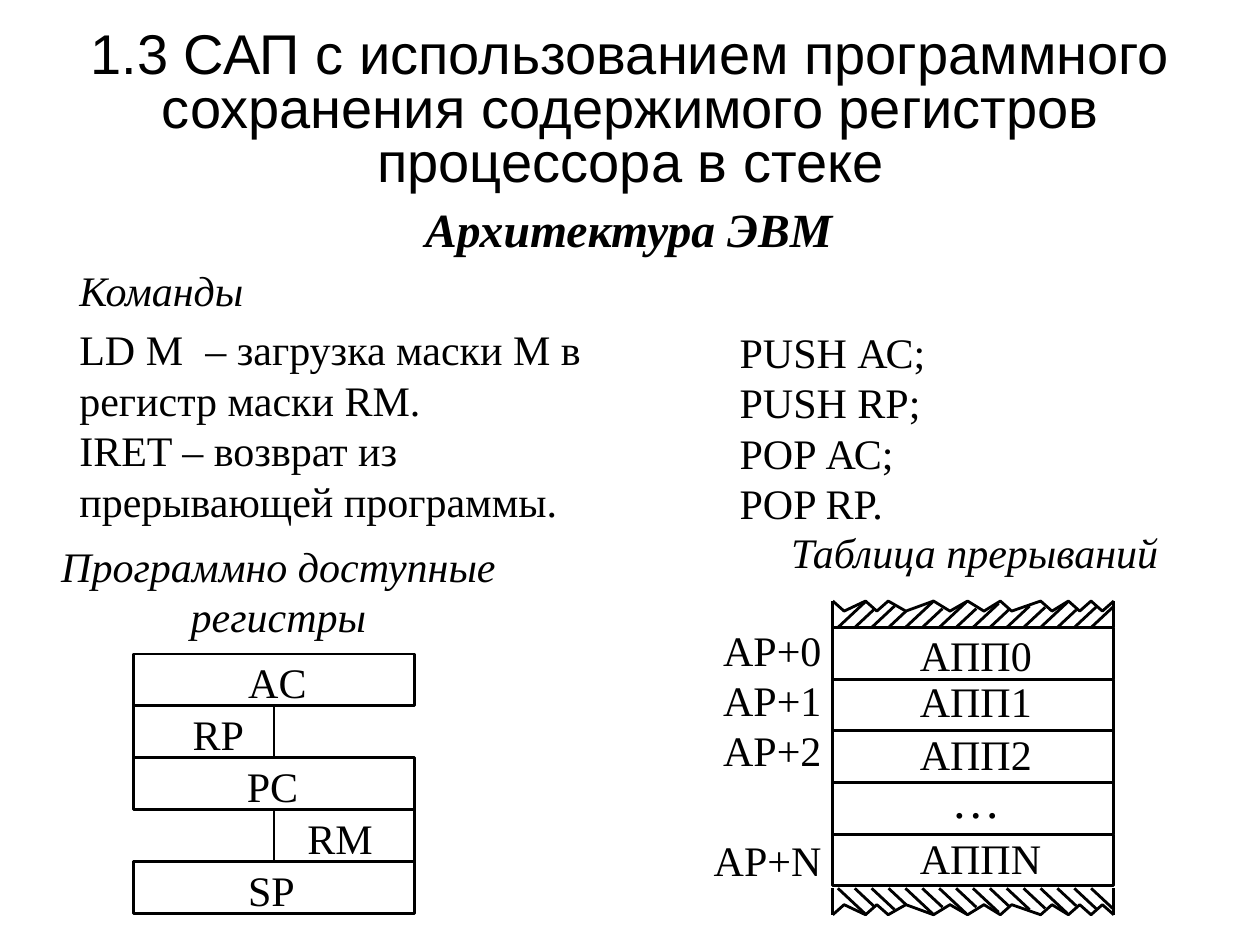
from dataclasses import dataclass

from lxml import etree
from pptx import Presentation
from pptx.dml.color import RGBColor
from pptx.enum.shapes import MSO_CONNECTOR, MSO_SHAPE
from pptx.enum.text import MSO_ANCHOR, MSO_AUTO_SIZE, PP_ALIGN
from pptx.oxml.ns import qn
from pptx.util import Inches, Pt

RECTANGLE = MSO_SHAPE.RECTANGLE
STRAIGHT = MSO_CONNECTOR.STRAIGHT
TOP, MIDDLE = MSO_ANCHOR.TOP, MSO_ANCHOR.MIDDLE
LEFT, CENTER, RIGHT = PP_ALIGN.LEFT, PP_ALIGN.CENTER, PP_ALIGN.RIGHT
NO_AUTOFIT = MSO_AUTO_SIZE.NONE


@dataclass(frozen=True)
class Theme:
    """Colours, fonts and sizes of the slide."""
    ink: RGBColor = RGBColor(0, 0, 0)
    paper: RGBColor = RGBColor(255, 255, 255)
    title_font: str = "Arial"
    text_font: str = "Times New Roman"
    title_size: float = 32
    subtitle_size: float = 27.2
    ellipsis_size: float = 28
    text_size: float = 24
    line_width: float = 1.62


@dataclass(frozen=True)
class Box:
    """A region of the slide in inches."""
    left: float
    top: float
    width: float
    height: float

    def place(self, shape):
        """Move a shape into this region."""
        shape.left, shape.top, shape.width, shape.height = self.lengths()

    def lengths(self):
        """Return left, top, width and height as slide lengths."""
        return [Inches(n) for n in (self.left, self.top, self.width, self.height)]


THEME = Theme()
ROW_HEIGHT = 0.41
LABEL_HEIGHT = 0.4
TORN_DEPTH = 0.21
ZIGZAG = (0, 0.09, 0.26, 0.35, 0.44, 0.58, 0.8, 0.93, 1.07, 1.2, 1.33, 1.42,
          1.65, 1.74, 1.87, 1.96, 2.05, 2.14, 2.23)
HATCH_RISES = (0.2, 0.14, 0.17, 0.13, 0.21, 0.15, 0.2, 0.15,
               0.19, 0.14, 0.17, 0.16, 0.2, 0.14, 0.17, 0.17)


def prepare_frame(shape, margins=(0, 0), anchor=TOP, wrap=True):
    """Set the layout of a shape's text and return its frame."""
    frame = shape.text_frame
    frame.auto_size = NO_AUTOFIT
    frame.word_wrap = wrap
    frame.vertical_anchor = anchor
    frame.margin_left = frame.margin_right = Inches(margins[0])
    frame.margin_top = frame.margin_bottom = Inches(margins[1])
    return frame


def write(paragraph, text, align=LEFT, size=THEME.text_size,
          font=THEME.text_font, bold=False, italic=False):
    """Add one formatted run to a paragraph."""
    paragraph.alignment = align
    run = paragraph.add_run()
    run.text = text
    run.font.name, run.font.size = font, Pt(size)
    run.font.bold, run.font.italic = bold, italic
    run.font.color.rgb = THEME.ink


def add_label(slide, box, text, wrap=False, **style):
    """Add a text box without margins."""
    label = slide.shapes.add_textbox(*box.lengths())
    write(prepare_frame(label, wrap=wrap).paragraphs[0], text, **style)


def draw_outline(shape):
    """Give a shape the common line."""
    shape.line.color.rgb = THEME.ink
    shape.line.width = Pt(THEME.line_width)


def add_cell(slide, box):
    """Draw one white outlined cell."""
    cell = slide.shapes.add_shape(RECTANGLE, *box.lengths())
    cell.shadow.inherit = False
    cell.fill.solid()
    cell.fill.fore_color.rgb = THEME.paper
    draw_outline(cell)


def add_line(slide, *ends):
    """Draw a straight line between two points."""
    line = slide.shapes.add_connector(STRAIGHT, *map(Inches, ends))
    etree.SubElement(line._element.spPr, qn("a:effectLst"))
    draw_outline(line)


def add_title(slide, box):
    """Fill the title placeholder."""
    title = slide.shapes.title
    box.place(title)
    paragraph = prepare_frame(title, (0.1, 0.05), MIDDLE).paragraphs[0]
    paragraph.line_spacing = 0.8
    write(paragraph, "1.3 САП с использованием программного сохранения "
          "содержимого регистров процессора в стеке", CENTER,
          THEME.title_size, THEME.title_font)


def add_subtitle(slide, box):
    """Add the line under the title."""
    subtitle = slide.shapes.add_textbox(*box.lengths())
    paragraph = prepare_frame(subtitle, (0.1, 0.05), MIDDLE).paragraphs[0]
    paragraph.line_spacing = 0.9
    write(paragraph, "Архитектура ЭВМ", CENTER, THEME.subtitle_size,
          bold=True, italic=True)


def add_commands(placeholder, box, commands, tab=None):
    """Fill a body placeholder with a list of commands without bullets."""
    box.place(placeholder)
    frame = prepare_frame(placeholder)
    for index, command in enumerate(commands):
        paragraph = frame.add_paragraph() if index else frame.paragraphs[0]
        properties = paragraph._p.get_or_add_pPr()
        properties.set("marL", "0")
        properties.set("indent", "0")
        etree.SubElement(properties, qn("a:buNone"))
        if tab:
            stops = etree.SubElement(properties, qn("a:tabLst"))
            etree.SubElement(stops, qn("a:tab"), pos=str(Inches(tab)), algn="l")
        paragraph.space_before = Pt(0)
        write(paragraph, command)


def add_registers(slide, box):
    """Draw the stack of full and half width registers."""
    half = box.width / 2
    registers = (("AC", 0, box.width, 0.91), ("RP", 0, half, 0.47),
                 ("PC", 0, box.width, 0.9), ("RM", half, half, 1.38),
                 ("SP", 0, box.width, 0.91))
    for row, (name, shift, width, indent) in enumerate(registers):
        top = box.top + row * box.height / len(registers)
        add_cell(slide, Box(box.left + shift, top, width, ROW_HEIGHT))
        add_label(slide, Box(box.left + indent, top + 0.02, 0.46, LABEL_HEIGHT), name)


def add_torn_edge(slide, left, base, direction):
    """Draw a hatched torn edge rising from a base line."""
    right, tip = left + ZIGZAG[-1], base + direction * TORN_DEPTH
    for side in (left, right):
        add_line(slide, side, tip, side, base)
    points = [(Inches(left + x), Inches(tip - direction * 0.08 * (i % 2)))
              for i, x in enumerate(ZIGZAG)]
    builder = slide.shapes.build_freeform(*points[0])
    builder.add_line_segments(points[1:], close=False)
    tear = builder.convert_to_shape()
    tear.shadow.inherit = False
    tear.fill.background()
    draw_outline(tear)
    for index, rise in enumerate(HATCH_RISES):
        start = left + 0.04 + index * 0.134
        add_line(slide, start, base, start + 1.07 * rise, base + direction * rise)


def add_interrupt_table(slide, box):
    """Draw the interrupt table rows with their addresses and torn ends."""
    rows = (("АПП0", 0.02, "AP+0", -0.02), ("АПП1", -0.03, "AP+1", -0.04),
            ("АПП2", -0.02, "AP+2", -0.05), ("…", -0.1, None, 0),
            ("АППN", -0.01, "AP+N", 0))
    for row, (entry, entry_shift, address, address_shift) in enumerate(rows):
        top = box.top + row * box.height / len(rows)
        add_cell(slide, Box(box.left, top, box.width, ROW_HEIGHT))
        if address:
            add_label(slide, Box(box.left - 0.95, top + address_shift, 0.86,
                                 LABEL_HEIGHT), address, align=RIGHT)
            add_label(slide, Box(box.left + 0.69, top + entry_shift, 0.89,
                                 LABEL_HEIGHT), entry)
        else:
            add_label(slide, Box(box.left + 0.72, top + entry_shift, 0.83, 0.47),
                      entry, wrap=True, align=CENTER, size=THEME.ellipsis_size)
    add_torn_edge(slide, box.left, box.top, -1)
    add_torn_edge(slide, box.left, box.top + box.height + 0.02, 1)


def main():
    """Build the slide and save it."""
    deck = Presentation()
    deck.slide_width, deck.slide_height = Inches(10), Inches(7.5)
    slide = deck.slides.add_slide(deck.slide_layouts[3])
    add_title(slide, Box(0.16, 0.2, 9.69, 1.38))
    add_subtitle(slide, Box(0.08, 1.56, 9.82, 0.56))
    add_label(slide, Box(0.63, 2.1, 1.33, LABEL_HEIGHT), "Команды", italic=True)
    add_commands(slide.placeholders[1], Box(0.63, 2.57, 4.05, 1.61),
                 ("LD M\t– загрузка маски М в регистр маски RM.",
                  "IRET – возврат из прерывающей программы."), tab=1.17)
    add_commands(slide.placeholders[2], Box(5.87, 2.59, 3.78, 1.6),
                 ("PUSH АС;", "PUSH RP;", "POP АС;", "POP RP."))
    add_label(slide, Box(0.16, 4.29, 4.1, 0.8), "Программно доступные регистры",
              wrap=True, align=CENTER, italic=True)
    add_registers(slide, Box(1.06, 5.19, 2.23, 2.06))
    add_label(slide, Box(5.55, 4.18, 4.37, LABEL_HEIGHT), "Таблица прерываний",
              wrap=True, align=CENTER, italic=True)
    add_interrupt_table(slide, Box(6.61, 4.98, 2.23, 2.05))
    deck.save("out.pptx")


if __name__ == "__main__":
    main()
